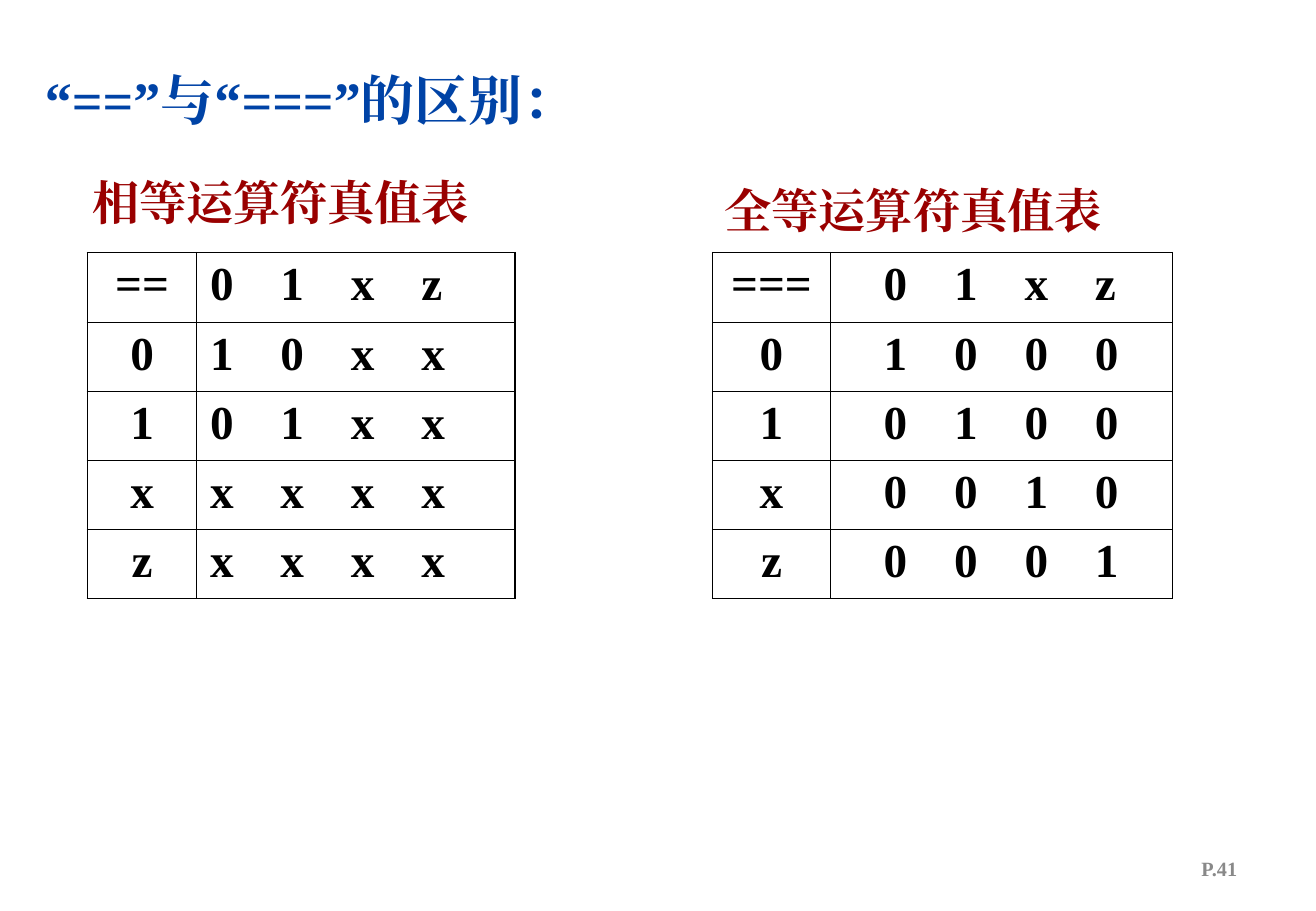
from lxml.etree import SubElement as Sub
from pptx import Presentation
from pptx.dml.color import RGBColor
from pptx.enum.lang import MSO_LANGUAGE_ID as Lang
from pptx.enum.text import MSO_ANCHOR as Anchor, MSO_AUTO_SIZE as Fit, PP_ALIGN as Align
from pptx.oxml.ns import qn
from pptx.util import Inches, Pt

BLUE = RGBColor(0x00, 0x43, 0xA6)
RED = RGBColor(0x99, 0x00, 0x00)
GRAY = RGBColor(0x89, 0x89, 0x89)
BLACK = RGBColor(0x00, 0x00, 0x00)
FACE = "Times New Roman"

TITLE = ("“==”与“===”的区别：", (0.27, 0.5, 6.32, 0.64))
PAGE = ("P.41", (7.76, 6.95, 2.53, 0.4))
HEADS = [
    ("相等运算符真值表", (0.66, 1.38, 3.7, 0.57)),
    ("全等运算符真值表", (5.87, 1.44, 3.7, 0.57)),
]
TABLES = [
    {"at": (0.72, 2.08), "cols": (0.9, 2.62), "inset": 0.11,
     "rows": [("==", "01xz"), ("0", "10xx"), ("1", "01xx"),
              ("x", "xxxx"), ("z", "xxxx")]},
    {"at": (5.87, 2.08), "cols": (0.97, 2.82), "inset": 0.44,
     "rows": [("===", "01xz"), ("0", "1000"), ("1", "0100"),
              ("x", "0010"), ("z", "0001")]},
]
ROW = 0.57
STEP = 0.58
THICK, THIN = 1.08, 0.45


def apply(item, style):
    for name, value in style.items():
        setattr(item, name, value)


def write(frame, text, size, color, align, before=0):
    para = frame.paragraphs[0]
    apply(para, {"alignment": align, "space_before": Pt(before)})
    run = para.add_run()
    run.text = text
    apply(run.font, {"name": FACE, "size": Pt(size), "bold": True,
                     "language_id": Lang.SIMPLIFIED_CHINESE})
    run.font.color.rgb = color
    Sub(run.font._element, qn("a:ea"), typeface=FACE)
    return para


def label(shape, at, text, size, color, align, before=0, anchor=Anchor.TOP):
    names = ("left", "top", "width", "height")
    apply(shape, dict(zip(names, map(Inches, at))))
    apply(shape.text_frame, {
        "word_wrap": True, "auto_size": Fit.NONE, "vertical_anchor": anchor,
        "margin_left": Inches(0.1), "margin_right": Inches(0.1),
        "margin_top": Inches(0.05), "margin_bottom": Inches(0.05)})
    write(shape.text_frame, text, size, color, align, before)


def border(cell, sides):
    props = cell._tc.get_or_add_tcPr()
    for side, width in sides.items():
        line = Sub(props, qn("a:ln" + side), w=str(Pt(width)))
        fill = Sub(line, qn("a:solidFill"))
        Sub(fill, qn("a:srgbClr"), val=str(BLACK))


def set_tabs(para, count):
    stops = Sub(para._p.get_or_add_pPr(), qn("a:tabLst"))
    for i in range(1, count):
        Sub(stops, qn("a:tab"), pos=str(Inches(STEP * i)), algn="l")


def truth(slide, data):
    rows, cols = data["rows"], data["cols"]
    size = (sum(cols), ROW * len(rows))
    box = map(Inches, data["at"] + size)
    table = slide.shapes.add_table(len(rows), len(cols), *box).table
    apply(table, {"first_row": False, "horz_banding": False})
    for col, width in zip(table.columns, cols):
        col.width = Inches(width)
    last = len(rows) - 1
    for r, (key, vals) in enumerate(rows):
        table.rows[r].height = Inches(ROW)
        for c, text in enumerate((key, "\t".join(vals))):
            cell = table.cell(r, c)
            apply(cell, {
                "margin_left": Inches(data["inset"] if c else 0.11),
                "margin_right": Inches(0.11),
                "margin_top": Inches(0.05), "margin_bottom": Inches(0.05)})
            align = Align.LEFT if c else Align.CENTER
            para = write(cell.text_frame, text, 28, BLACK, align, 7)
            if c:
                set_tabs(para, len(vals))
            border(cell, {"L": THIN if c else THICK, "R": THICK if c else THIN,
                          "T": THIN if r else THICK,
                          "B": THICK if r == last else THIN})
            cell.fill.background()


def main():
    deck = Presentation()
    apply(deck, {"slide_width": Inches(10.84), "slide_height": Inches(7.5)})
    slide = deck.slides.add_slide(deck.slide_layouts[5])
    shapes = slide.shapes
    text, at = TITLE
    label(shapes.title, at, text, 32, BLUE, Align.JUSTIFY, 20)
    for data in TABLES:
        truth(slide, data)
    for text, at in HEADS:
        box = shapes.add_textbox(0, 0, 0, 0)
        label(box, at, text, 28, RED, Align.JUSTIFY, 17.5)
    text, at = PAGE
    box = shapes.add_textbox(0, 0, 0, 0)
    label(box, at, text, 12, GRAY, Align.RIGHT, anchor=Anchor.MIDDLE)
    deck.save("out.pptx")


if __name__ == "__main__":
    main()
